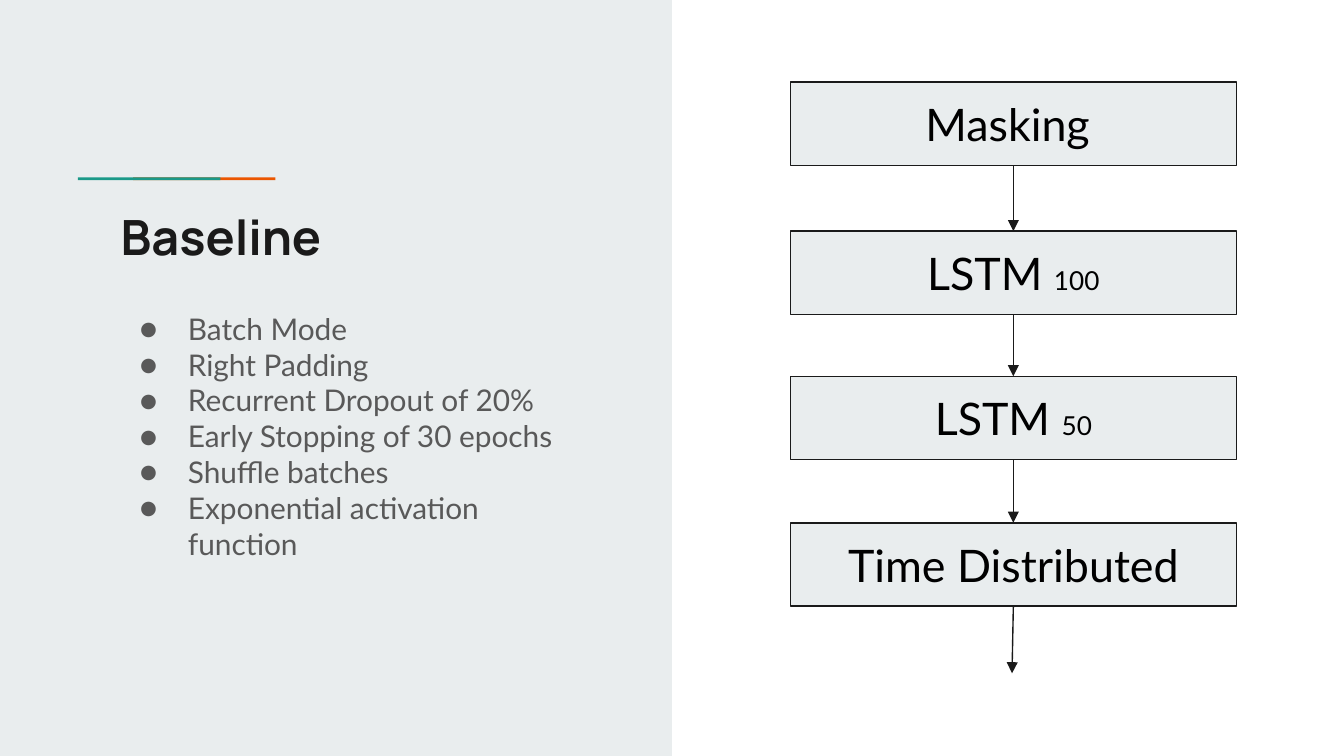
from lxml import etree
from pptx import Presentation
from pptx.dml.color import RGBColor
from pptx.enum.shapes import MSO_CONNECTOR, MSO_SHAPE
from pptx.enum.text import MSO_ANCHOR, PP_ALIGN
from pptx.oxml.ns import qn
from pptx.util import Inches, Pt

RECT = MSO_SHAPE.RECTANGLE
LINE = MSO_CONNECTOR.STRAIGHT
MIDDLE, TOP = MSO_ANCHOR.MIDDLE, MSO_ANCHOR.TOP
CENTER = PP_ALIGN.CENTER
SIDE_TOP, SIDE_BOTTOM = 0, 2

TITLE = "Baseline"
POINTS = [
    "Batch Mode",
    "Right Padding",
    "Recurrent Dropout of 20%",
    "Early Stopping of 30 epochs",
    "Shuffle batches",
    "Exponential activation function",
]
# Layer name, unit count, top edge
LAYERS = [
    ("Masking ", "", 0.61),
    ("LSTM ", "100", 1.72),
    ("LSTM ", "50", 2.8),
    ("Time Distributed", "", 3.89),
]

THEME = {
    "head": "Manrope", "body": "Lato",
    "panel": "E9EDEE", "ink": "1A1A1A", "text": "595959", "label": "000000",
    "teal": "1A9988", "orange": "EB5600",
    "title": 26, "point": 16, "layer": 24, "unit": 14, "line": 0.75,
}

WIDE = 10
HIGH = WIDE * 9 / 16
TEXT_X, TEXT_W = 0.8, 3.61
BOX_X, BOX_W, BOX_H = 5.88, 3.32, 0.62
BAR_X, BAR_Y, BAR_W, BAR_H, BAR_STEP = 0.58, 1.32, 1.06, 0.02, 0.41
EXIT = (7.53, 5.01)


def color(name):
    return RGBColor.from_string(THEME[name])


def style(run, size, tint, face="body", bold=False):
    font = run.font
    font.name, font.size, font.bold = THEME[face], Pt(THEME[size]), bold
    font.color.rgb = color(tint)


def frame(shape, anchor):
    """Make the text wrap inside even margins."""
    text = shape.text_frame
    text.word_wrap = True
    text.vertical_anchor = anchor
    text.margin_left = text.margin_right = Inches(0.1)
    text.margin_top = text.margin_bottom = Inches(0.1)
    return text


def block(slide, x, y, w, h, fill, edge=None):
    shape = slide.shapes.add_shape(RECT, *map(Inches, (x, y, w, h)))
    shape.shadow.inherit = False
    shape.fill.solid()
    shape.fill.fore_color.rgb = color(fill)
    if edge:
        shape.line.color.rgb = color(edge)
        shape.line.width = Pt(THEME["line"])
    else:
        shape.line.fill.background()
    return shape


def text_box(slide, y, h):
    box = slide.shapes.add_textbox(*map(Inches, (TEXT_X, y, TEXT_W, h)))
    return frame(box, TOP)


def bullet(para):
    props = para._p.get_or_add_pPr()
    props.set("marL", str(Inches(0.5)))
    props.set("indent", str(Inches(-0.36)))
    tint = etree.SubElement(props, qn("a:buClr"))
    etree.SubElement(tint, qn("a:srgbClr"), val=THEME["text"])
    etree.SubElement(props, qn("a:buFont"), typeface=THEME["body"])
    etree.SubElement(props, qn("a:buChar"), char="●")


def arrow(slide, start, stop=None):
    """Point from one box down to the next, or to the exit."""
    line = slide.shapes.add_connector(LINE, 0, 0, *map(Inches, EXIT))
    line.begin_connect(start, SIDE_BOTTOM)
    if stop is not None:
        line.end_connect(stop, SIDE_TOP)
    line.line.color.rgb = color("ink")
    line.line.width = Pt(THEME["line"])
    etree.SubElement(line.line._get_or_add_ln(), qn("a:tailEnd"), type="triangle")
    etree.SubElement(line._element.spPr, qn("a:effectLst"))


def layer(slide, name, unit, y):
    box = block(slide, BOX_X, y, BOX_W, BOX_H, "panel", "ink")
    para = frame(box, MIDDLE).paragraphs[0]
    para.text = name
    para.alignment = CENTER
    style(para.runs[0], "layer", "label")
    if unit:
        run = para.add_run()
        run.text = unit
        style(run, "unit", "label")
    return box


def main():
    deck = Presentation()
    deck.slide_width, deck.slide_height = Inches(WIDE), Inches(HIGH)
    slide = deck.slides.add_slide(deck.slide_layouts[6])

    block(slide, 0, 0, WIDE / 2, HIGH, "panel")
    for step, tint in ((BAR_STEP, "orange"), (0, "teal")):
        block(slide, BAR_X + step, BAR_Y, BAR_W, BAR_H, tint)

    title = text_box(slide, 1.44, 1.85)
    title.text = TITLE
    style(title.paragraphs[0].runs[0], "title", "ink", "head", True)

    boxes = [layer(slide, *item) for item in LAYERS]
    for start, stop in zip(boxes, boxes[1:] + [None]):
        arrow(slide, start, stop)

    body = text_box(slide, 2.21, 0.83)
    body.text = "\n".join(POINTS)
    for para in body.paragraphs:
        bullet(para)
        style(para.runs[0], "point", "text")

    deck.save("out.pptx")


if __name__ == "__main__":
    main()
